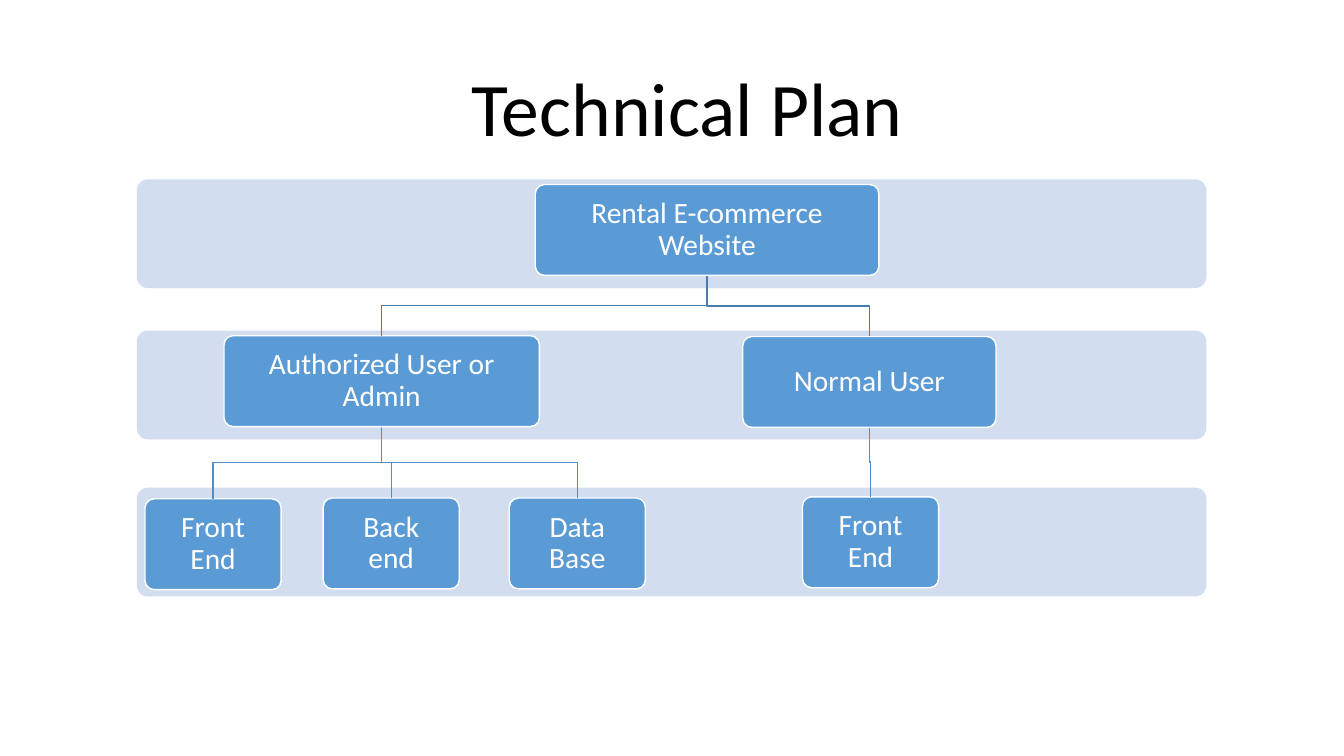
from dataclasses import dataclass

from lxml.etree import SubElement
from pptx import Presentation
from pptx.dml.color import RGBColor
from pptx.enum.shapes import MSO_CONNECTOR as Link, MSO_SHAPE as Preset
from pptx.enum.text import MSO_ANCHOR as Anchor, MSO_AUTO_SIZE as Fit, PP_ALIGN as Align
from pptx.oxml.ns import qn
from pptx.util import Cm, Pt


@dataclass(frozen=True)
class Theme:
    """Colours, font and type sizes of the slide."""
    band: str = "D2DEEF"
    node: str = "5B9BD5"
    light: str = "FFFFFF"
    dark: str = "000000"
    upper_link: str = "497CAB"
    lower_link: str = "538DC1"
    font: str = "Calibri"
    title_size: int = 54
    node_size: int = 21


@dataclass(frozen=True)
class Box:
    """A rectangle in centimetres."""
    left: float
    top: float
    width: float
    height: float

    @property
    def centre(self):
        """Horizontal middle of the box."""
        return self.left + self.width / 2

    @property
    def bottom(self):
        """Lower edge of the box."""
        return self.top + self.height

    def lengths(self):
        """Left, top, width and height as slide lengths."""
        return [Cm(value) for value in (self.left, self.top, self.width, self.height)]


@dataclass(frozen=True)
class Node:
    """A labelled box, placed from the left and top of its band."""
    label: str
    centre: float
    drop: float
    width: float
    children: tuple = ()


THEME = Theme()
NODE_HEIGHT = 2.29
BAND_HEIGHT = 2.74
BAND_DROPS = (0, 3.81, 7.77)
PLAN = Node("Rental E-commerce Website", 14.37, 0.13, 8.66, (
    Node("Authorized User or Admin", 6.17, 0.13, 7.95, (
        Node("Front End", 1.92, 0.28, 3.43),
        Node("Back end", 6.41, 0.26, 3.43),
        Node("Data Base", 11.1, 0.26, 3.43),
    )),
    Node("Normal User", 18.46, 0.15, 6.38, (
        Node("Front End", 18.49, 0.23, 3.43),
    )),
))


def apply(target, formats):
    """Set each named format value on the target."""
    for name, value in formats.items():
        setattr(target, name, value)


def write(frame, text, size, colour, formats, spacing):
    """Fill a text frame with one centred paragraph."""
    apply(frame, {"auto_size": Fit.NONE, **formats})
    para = frame.paragraphs[0]
    apply(para, {"alignment": Align.CENTER, "line_spacing": spacing})
    span = para.add_run()
    span.text = text
    apply(span.font, {"name": THEME.font, "size": Pt(size)})
    span.font.color.rgb = RGBColor.from_string(colour)


def add_title(page, box, text):
    """Place the title placeholder in the box."""
    title = page.shapes.title
    apply(title, dict(zip(("left", "top", "width", "height"), box.lengths())))
    formats = {"word_wrap": False, "vertical_anchor": Anchor.TOP}
    write(title.text_frame, text, THEME.title_size, THEME.dark, formats, 1.0)


def add_panel(page, box, fill):
    """Add a softly rounded, unlined panel."""
    panel = page.shapes.add_shape(Preset.ROUNDED_RECTANGLE, *box.lengths())
    panel.adjustments[0] = 0.1
    panel.shadow.inherit = False
    panel.fill.solid()
    panel.fill.fore_color.rgb = RGBColor.from_string(fill)
    panel.line.fill.background()
    return panel


def add_node(page, box, label):
    """Add a white-edged box with its label."""
    panel = add_panel(page, box, THEME.node)
    panel.line.color.rgb = RGBColor.from_string(THEME.light)
    panel.line.width = Pt(1)
    sides = ("margin_left", "margin_top", "margin_right", "margin_bottom")
    formats = {"word_wrap": True, "vertical_anchor": Anchor.MIDDLE,
               **dict.fromkeys(sides, Cm(0.29))}
    write(panel.text_frame, label, THEME.node_size, THEME.light, formats, 0.9)


def add_link(page, parent, child, colour):
    """Join parent to child with an elbow turned to run downwards."""
    middle = (parent.centre + child.centre) / 2
    level = (parent.bottom + child.top) / 2
    fall = (child.top - parent.bottom) / 2
    shift = (parent.centre - child.centre) / 2
    ends = (middle - fall, level - shift, middle + fall, level + shift)
    link = page.shapes.add_connector(Link.ELBOW, *[Cm(value) for value in ends])
    link.line.color.rgb = RGBColor.from_string(colour)
    link.line.width = Pt(1)
    properties = link._element.spPr
    properties.find(qn("a:xfrm")).set("rot", "5400000")
    SubElement(properties, qn("a:effectLst"))


def add_branch(page, box, node, depth=0):
    """Draw a node and everything below it, and return the node's box."""
    place = Box(box.left + node.centre - node.width / 2,
                box.top + BAND_DROPS[depth] + node.drop, node.width, NODE_HEIGHT)
    colour = THEME.lower_link if depth else THEME.upper_link
    for child in node.children:
        add_link(page, place, add_branch(page, box, child, depth + 1), colour)
    add_node(page, place, node.label)
    return place


def add_plan(page, box):
    """Draw the level bands and the tree on top of them."""
    for drop in BAND_DROPS:
        add_panel(page, Box(box.left, box.top + drop, box.width, BAND_HEIGHT), THEME.band)
    add_branch(page, box, PLAN)


def main():
    """Build and save the slide."""
    deck = Presentation()
    apply(deck, {"slide_width": Cm(33.87), "slide_height": Cm(19.05)})
    page = deck.slides.add_slide(deck.slide_layouts[5])
    add_title(page, Box(11.58, 1.4, 11.48, 2.6), "Technical Plan")
    add_plan(page, Box(3.45, 4.52, 26.95, 10.51))
    deck.save("out.pptx")


if __name__ == "__main__":
    main()
